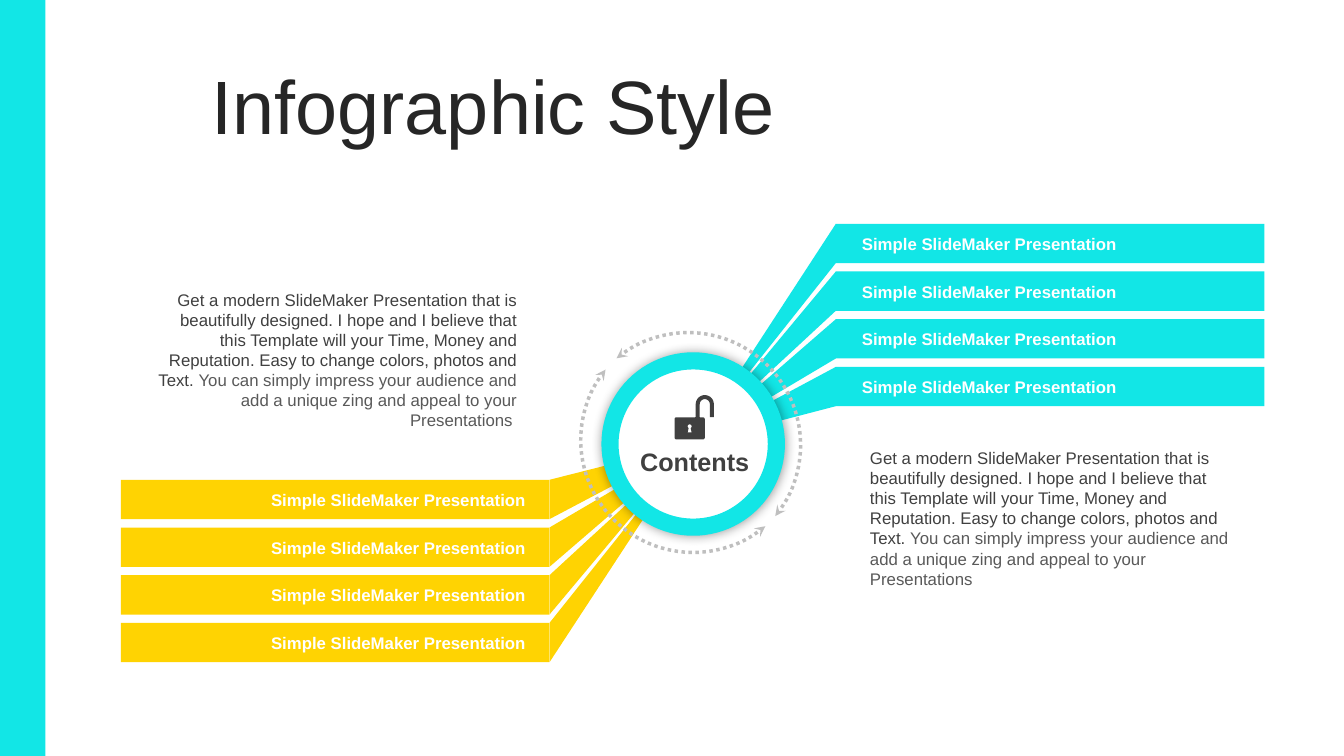
from math import cos, radians, sin

from lxml.etree import SubElement
from pptx import Presentation
from pptx.dml.color import RGBColor
from pptx.enum.dml import MSO_LINE
from pptx.enum.shapes import MSO_SHAPE
from pptx.enum.text import MSO_ANCHOR, MSO_AUTO_SIZE, PP_ALIGN
from pptx.oxml.ns import qn
from pptx.util import Inches, Pt

COLORS = {
    "cyan": "12E6E6",
    "yellow": "FFD302",
    "white": "FFFFFF",
    "title": "262626",
    "dark": "404040",
    "gray": "595959",
    "orbit": "BFBFBF",
    "shadow": "000000",
}
FONT = "Arial"
HUB = (6.87, 4.4)
BAND_COUNT = 4
BAND_WIDTH = 4.25
BAND_HEIGHT = 0.39
BAND_STEP = 1.42 / 3
BAND_LABEL = "Simple SlideMaker Presentation"
INTRO = (
    "Get a modern SlideMaker Presentation that is beautifully designed. "
    "I hope and I believe that this Template will your Time, Money and "
    "Reputation. Easy to change colors, photos and Text. "
)
CLOSING = (
    "You can simply impress your audience and add a unique zing "
    "and appeal to your Presentations "
)


def rgb(name):
    return RGBColor.from_string(COLORS[name])


def paint(shape, color):
    shape.shadow.inherit = False
    shape.fill.solid()
    shape.fill.fore_color.rgb = rgb(color)
    shape.line.fill.background()


def add_preset(page, kind, left, top, width, height, color):
    shape = page.shapes.add_shape(
        kind, Inches(left), Inches(top), Inches(width), Inches(height)
    )
    paint(shape, color)
    return shape


def add_outline(page, contours, color):
    builder = None
    for contour in contours:
        points = [(Inches(x), Inches(y)) for x, y in contour]
        if builder is None:
            builder = page.shapes.build_freeform(*points[0])
        else:
            builder.move_to(*points[0])
        builder.add_line_segments(points[1:], close=True)
    paint(builder.convert_to_shape(), color)


def add_span(para, text, size, color, bold=False):
    span = para.add_run()
    span.text = text
    span.font.name = FONT
    span.font.size = Pt(size)
    span.font.bold = bold
    span.font.color.rgb = rgb(color)


def add_text(page, left, top, width, height, spans, align=PP_ALIGN.LEFT):
    box = page.shapes.add_textbox(
        Inches(left), Inches(top), Inches(width), Inches(height)
    )
    box.text_frame.word_wrap = True
    para = box.text_frame.paragraphs[0]
    para.alignment = align
    for span in spans:
        add_span(para, *span)


def set_title(page, text):
    title = page.shapes.title
    title.left, title.top = Inches(2), Inches(0.7)
    title.width, title.height = Inches(10.92), Inches(0.79)
    frame = title.text_frame
    frame.word_wrap = True
    frame.auto_size = MSO_AUTO_SIZE.NONE
    frame.vertical_anchor = MSO_ANCHOR.MIDDLE
    para = frame.paragraphs[0]
    para.alignment = PP_ALIGN.LEFT
    para.line_spacing = 0.9
    add_span(para, text, 54, "title")


def add_bands(page, left, first_top, hub_edge, color):
    for row in range(BAND_COUNT):
        top = first_top + row * BAND_STEP
        add_preset(page, MSO_SHAPE.RECTANGLE, left, top, BAND_WIDTH, BAND_HEIGHT, color)
        beam = [(hub_edge, top), HUB, (hub_edge, top + BAND_HEIGHT)]
        add_outline(page, [beam], color)


def add_band_labels(page, left, first_top, width):
    for row in range(BAND_COUNT):
        top = first_top + row * BAND_STEP + 0.05
        add_text(page, left, top, width, 0.3, [(BAND_LABEL, 12, "white", True)])


def add_hub(page):
    hub = add_preset(page, MSO_SHAPE.OVAL, 6.05, 3.58, 1.65, 1.65, "white")
    hub.line.color.rgb = rgb("cyan")
    hub.line.width = Pt(12.25)
    effects = hub._element.spPr.find(qn("a:effectLst"))
    shadow = SubElement(effects, qn("a:outerShdw"), blurRad=str(Pt(8)), dist="0", dir="0")
    shade = SubElement(shadow, qn("a:srgbClr"), val=COLORS["shadow"])
    SubElement(shade, qn("a:alpha"), val="40000")


def add_orbit(page, left, top, rotation):
    orbit = add_preset(page, MSO_SHAPE.ARC, left, top, 2.23, 2.23, "white")
    orbit.fill.background()
    orbit.rotation = rotation
    orbit.adjustments[0] = 111.57
    orbit.adjustments[1] = 212.83
    orbit.line.color.rgb = rgb("orbit")
    orbit.line.width = Pt(2.5)
    orbit.line.dash_style = MSO_LINE.ROUND_DOT
    line = orbit._element.spPr.find(qn("a:ln"))
    for end in ("a:headEnd", "a:tailEnd"):
        SubElement(line, qn(end), type="stealth")


def arc_points(x, y, radius, start, end, steps=16):
    angles = [radians(start + (end - start) * step / steps) for step in range(steps + 1)]
    return [(x + radius * cos(angle), y + radius * sin(angle)) for angle in angles]


def add_padlock(page):
    body = [
        *arc_points(6.71, 4.16, 0.02, 180, 270),
        (6.9, 4.14),
        *arc_points(6.99, 4.01, 0.09, 180, 360),
        (7.08, 4.14),
        (7.04, 4.14),
        *arc_points(6.99, 4.01, 0.05, 360, 180),
        (6.94, 4.14),
        *arc_points(6.97, 4.16, 0.02, 270, 360),
        *arc_points(6.97, 4.34, 0.02, 0, 90),
        *arc_points(6.71, 4.34, 0.02, 90, 180),
    ]
    keyhole = [*arc_points(6.84, 4.23, 0.02, 120, 420), (6.86, 4.29), (6.82, 4.29)]
    add_outline(page, [body, keyhole], "dark")


def main():
    deck = Presentation()
    deck.slide_width, deck.slide_height = Inches(13.33), Inches(7.5)
    page = deck.slides.add_slide(deck.slide_layouts[5])

    add_preset(page, MSO_SHAPE.RECTANGLE, 0, 0, 0.45, 7.5, "cyan")
    set_title(page, "Infographic Style")
    add_bands(page, 8.29, 2.22, 8.29, "cyan")
    add_bands(page, 1.2, 4.76, 5.45, "yellow")
    add_hub(page)
    add_band_labels(page, 8.45, 2.22, 2.99)
    add_band_labels(page, 2.59, 4.76, 2.83)
    add_orbit(page, 5.76, 3.25, 224.1)
    add_orbit(page, 5.71, 3.3, 44.5)
    add_text(page, 6.14, 4.38, 1.5, 0.4, [("Contents", 18, "dark", True)], PP_ALIGN.CENTER)
    story = [(INTRO, 12, "dark"), (CLOSING, 12, "gray")]
    add_text(page, 8.53, 4.39, 3.82, 1.51, story)
    add_text(page, 1.41, 2.82, 3.82, 1.72, story, PP_ALIGN.RIGHT)
    add_padlock(page)

    deck.save("out.pptx")


if __name__ == "__main__":
    main()
